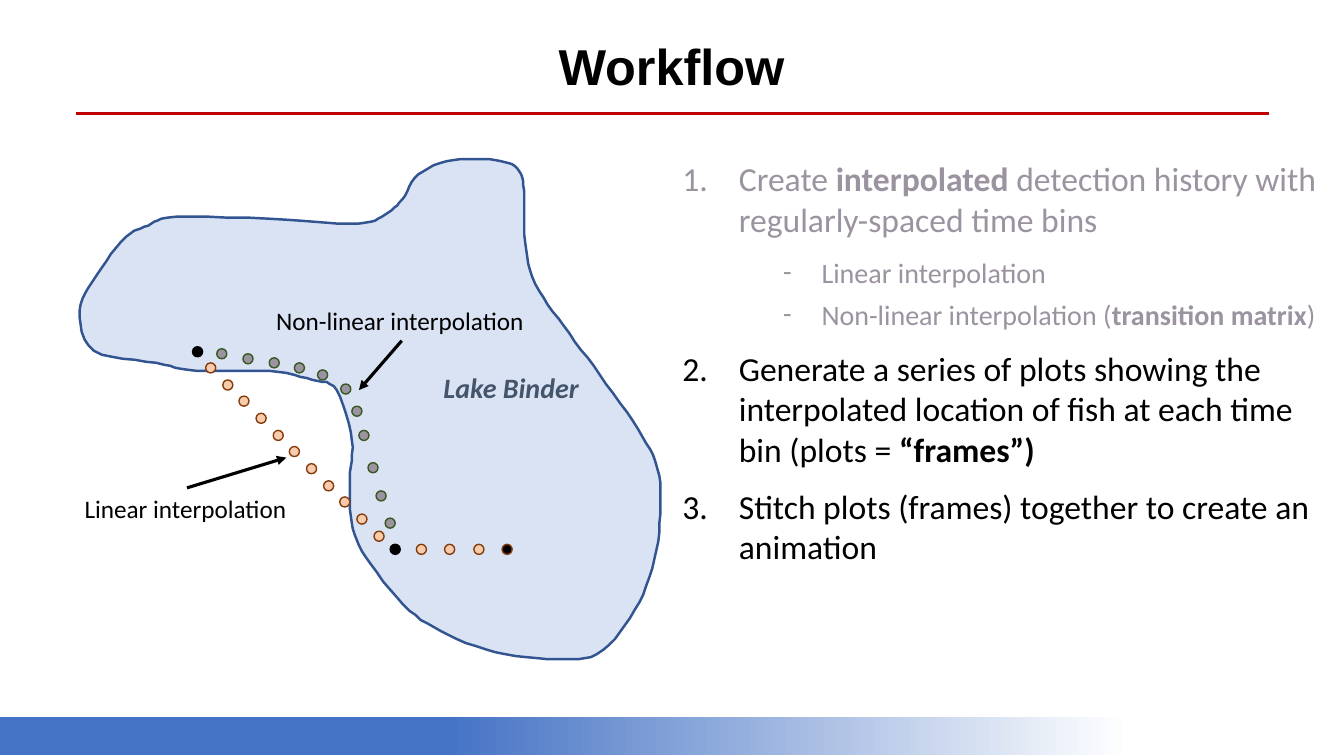
from lxml import etree
from pptx import Presentation
from pptx.dml.color import RGBColor
from pptx.enum.shapes import MSO_CONNECTOR, MSO_SHAPE
from pptx.enum.text import MSO_ANCHOR, MSO_AUTO_SIZE, PP_ALIGN
from pptx.oxml.ns import qn
from pptx.util import Emu, Pt

PX = 9144  # 100 px to the inch
OVAL, RECT = MSO_SHAPE.OVAL, MSO_SHAPE.RECTANGLE
LINE = MSO_CONNECTOR.STRAIGHT
FIT = MSO_AUTO_SIZE.SHAPE_TO_FIT_TEXT
TOP = MSO_ANCHOR.TOP
LEFT, MIDDLE = PP_ALIGN.LEFT, PP_ALIGN.CENTER
BLACK, GREY, RED = "000000", "9B93A0", "C00000"
PEACH, BROWN, GREEN = "F8CBAD", "843C0B", "385723"


def rgb(code):
    return RGBColor.from_string(code)


def write(para, text, size=24, color=BLACK, bold=False, italic=False,
          font="Calibri", align=LEFT):
    para.alignment = align
    run = para.add_run()
    run.text = text
    run.font.name, run.font.size = font, Pt(size)
    run.font.bold, run.font.italic = bold, italic
    run.font.color.rgb = rgb(color)


prs = Presentation()
prs.slide_width, prs.slide_height = Emu(1333 * PX), Emu(750 * PX)
slide = prs.slides.add_slide(prs.slide_layouts[5])
shapes = slide.shapes

# Title
title = shapes.title
title.left, title.top, title.width, title.height = [
    Emu(n * PX) for n in (195, 30, 942, 71)]
title.text_frame.auto_size = FIT
title.text_frame.vertical_anchor = TOP
write(title.text_frame.paragraphs[0], "Workflow", size=36, bold=True,
      font="Arial", align=MIDDLE)

# Lake outline: a smooth closed curve through the shore points
shore = [
    (175, 215), (283, 218), (355, 222), (382, 213), (399, 198), (415, 173),
    (449, 159), (492, 159), (513, 167), (520, 190), (521, 241), (531, 282),
    (559, 323), (595, 372), (633, 426), (652, 465), (655, 510), (647, 564),
    (625, 613), (592, 649), (552, 654), (491, 647), (437, 626), (400, 600),
    (363, 553), (349, 519), (347, 476), (349, 437), (334, 387), (310, 377),
    (267, 368), (195, 368), (155, 360), (93, 348), (79, 308), (96, 273),
    (125, 235), (147, 224)]
STEPS = 6
bends = []
for i in range(len(shore)):
    near = [shore[(i + k) % len(shore)] for k in (-1, 0, 1, 2)]
    for t in [k / STEPS for k in range(STEPS)]:
        bends.append([
            b + t * (c - a) / 2 + t ** 2 * (2 * a - 5 * b + 4 * c - d) / 2
            + t ** 3 * (3 * b - a - 3 * c + d) / 2
            for a, b, c, d in zip(*near)])
pen = shapes.build_freeform(*shore[0], scale=PX)
pen.add_line_segments(
    [(round(x, 2), round(y, 2)) for x, y in bends[1:]], close=True)
lake = pen.convert_to_shape()
lake.shadow.inherit = False
lake.fill.solid()
lake.fill.fore_color.rgb = rgb("DAE3F3")
lake.line.color.rgb = rgb("325491")
lake.line.width = Pt(1.75)

# Footer band
band = shapes.add_shape(RECT, 0, 711 * PX, prs.slide_width, 38 * PX)
band.shadow.inherit = False
band.line.fill.background()
band.fill.gradient()
band.fill.gradient_angle = 0
for stop, place, color in zip(band.fill.gradient_stops, (0.33, 0.84),
                              ("4472C4", "FFFFFF")):
    stop.position = place
    stop.color.rgb = rgb(color)

# Fish tracks: dot corner, fill and line
slope = [(204 + round(i * 50 / 3), 360 + round(i * 50 / 3)) for i in range(11)]
flat = [(413 + round(i * 85 / 3), 540) for i in range(4)]
curve = [(215, 346), (241, 351), (267, 355), (292, 360), (315, 367),
         (338, 381), (349, 403), (356, 427), (365, 459), (373, 487),
         (382, 514)]
dots = [(spot, BLACK, BLACK) for spot in ((191, 344), (387, 540))]
dots += [(spot, PEACH, BROWN) for spot in slope + flat[:3]]
dots += [(flat[3], BLACK, BROWN)]
dots += [(spot, GREY, GREEN) for spot in curve]
for (x, y), fill, edge in dots:
    dot = shapes.add_shape(OVAL, x * PX, y * PX, 10 * PX, 10 * PX)
    dot.shadow.inherit = False
    dot.fill.solid()
    dot.fill.fore_color.rgb = rgb(fill)
    dot.line.color.rgb = rgb(edge)
    dot.line.width = Pt(1)

# Map labels
labels = []
for text, x, y, w, h, form in [
        ("Linear interpolation", 74, 484, 223, 40, {"size": 18}),
        ("Non-linear interpolation", 264, 298, 269, 40, {"size": 18}),
        ("Lake Binder", 430, 363, 156, 44,
         {"size": 20, "color": "44546A", "bold": True, "italic": True})]:
    label = shapes.add_textbox(x * PX, y * PX, w * PX, h * PX)
    label.text_frame.word_wrap = False
    label.text_frame.auto_size = FIT
    write(label.text_frame.paragraphs[0], text, **form)
    labels.append(label)

# Title rule and arrows: start, end, colour, label joined, its side
for x1, y1, x2, y2, color, label, side in [
        (75, 113, 1259, 113, RED, None, None),
        (185, 484, 284, 454, BLACK, labels[0], 0),
        (398, 338, 356, 387, BLACK, labels[1], 2)]:
    link = shapes.add_connector(LINE, x1 * PX, y1 * PX, x2 * PX, y2 * PX)
    link.line.color.rgb = rgb(color)
    link.line.width = Pt(2.25)
    props = link.element.spPr
    if label is not None:
        link.begin_connect(label, side)
        etree.SubElement(props.find(qn("a:ln")), qn("a:tailEnd"),
                         type="triangle")
    etree.SubElement(props, qn("a:effectLst"))

# Steps: level, space after, colour, runs that alternate plain and bold
steps = [
    (0, 12, GREY, ["Create ", "interpolated",
                   " detection history with regularly-spaced time bins"]),
    (1, 6, GREY, ["Linear interpolation"]),
    (1, 12, GREY, ["Non-linear interpolation (", "transition matrix", ")"]),
    (0, 12, BLACK, ["Generate a series of plots showing the interpolated "
                    "location of fish at each time bin (plots = ",
                    "“frames”)"]),
    (0, 24, BLACK, ["Stitch plots (frames) together to create an animation"])]
body = shapes.add_textbox(667 * PX, 152 * PX, 650 * PX, 567 * PX).text_frame
body.word_wrap = True
for i, (level, after, color, parts) in enumerate(steps):
    para = body.paragraphs[0] if i == 0 else body.add_paragraph()
    para.level = level
    para.space_after = Pt(after)
    props = para._p.get_or_add_pPr()
    margin, hang = ((56, 56), (138, 38))[level]
    props.set("marL", str(margin * PX))
    props.set("indent", str(-hang * PX))
    etree.SubElement(props, qn("a:buFont"), typeface="Calibri")
    if level:
        etree.SubElement(props, qn("a:buChar"), char="-")
    else:
        etree.SubElement(props, qn("a:buAutoNum"), type="arabicPeriod")
    for j, part in enumerate(parts):
        write(para, part, size=20 if level else 24, color=color,
              bold=j % 2 == 1)

prs.save("out.pptx")
